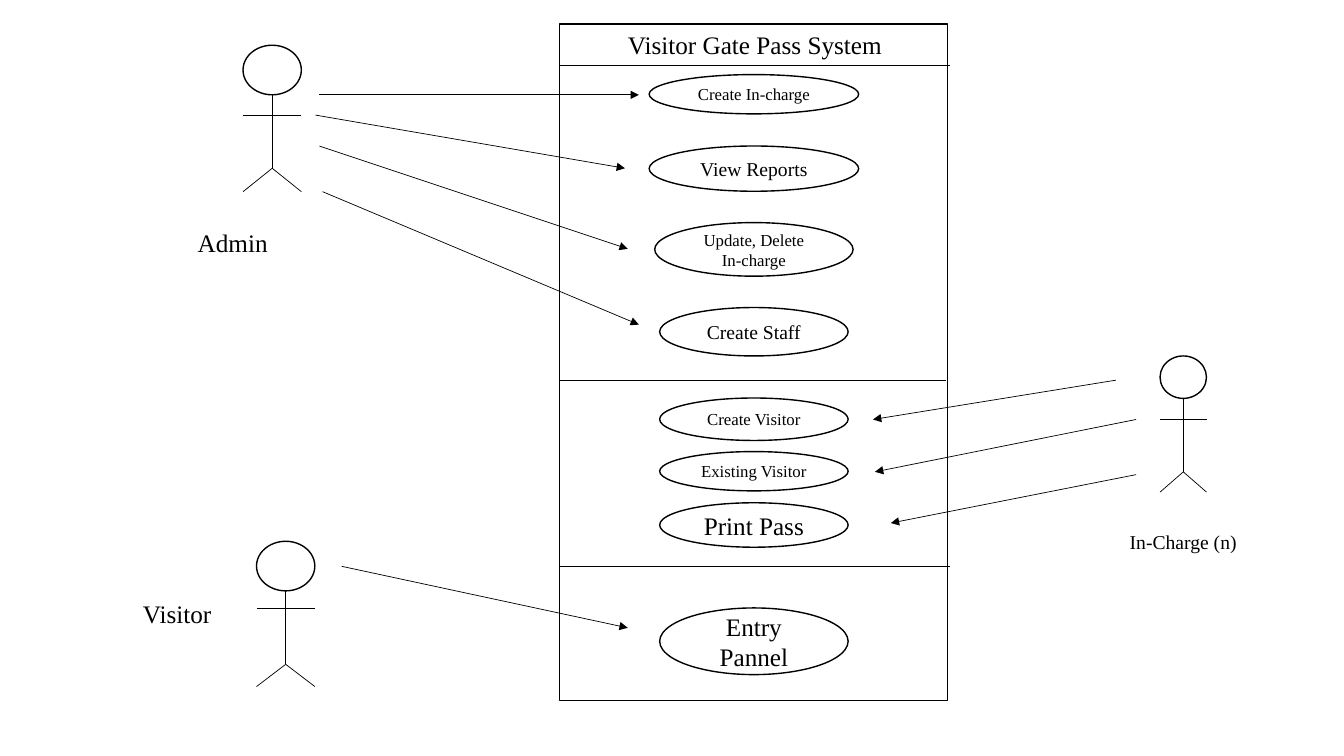
from dataclasses import dataclass

from lxml import etree
from pptx import Presentation
from pptx.dml.color import RGBColor
from pptx.enum.shapes import MSO_CONNECTOR, MSO_SHAPE
from pptx.enum.text import MSO_ANCHOR, MSO_AUTO_SIZE, PP_ALIGN
from pptx.oxml.ns import qn
from pptx.util import Cm, Pt

STRAIGHT = MSO_CONNECTOR.STRAIGHT
OVAL, RECTANGLE = MSO_SHAPE.OVAL, MSO_SHAPE.RECTANGLE
TOP, MIDDLE = MSO_ANCHOR.TOP, MSO_ANCHOR.MIDDLE
CENTER = PP_ALIGN.CENTER
NO_AUTOFIT = MSO_AUTO_SIZE.NONE
TITLE_ONLY = 5


@dataclass(frozen=True)
class Theme:
    font: str = "Times New Roman"
    ink: RGBColor = RGBColor(0, 0, 0)
    paper: RGBColor = RGBColor(255, 255, 255)
    large: int = 18
    medium: int = 14
    small: int = 12
    outline: float = 1
    hairline: float = 0.5


THEME = Theme()

TITLE = "Visitor Gate Pass System"
TITLE_BOX = (15.34, 0.61, 7.37, 1.02)
SYSTEM_BOX = (14.1, 0.61, 9.78, 17.04)
DIVIDERS = [(1.65, 23.93), (9.58, 23.85), (14.27, 23.93)]

USE_CASE_CENTER = 19
USE_CASES = [
    ("Create In-charge", 1.88, 5.28, 0.99, THEME.small),
    ("View Reports", 3.68, 5.28, 1.14, THEME.medium),
    ("Update, Delete In-charge", 5.61, 5, 1.35, THEME.small),
    ("Create Staff", 7.75, 4.75, 1.22, THEME.medium),
    ("Create Visitor", 10.03, 4.75, 1.07, THEME.small),
    ("Existing Visitor", 11.38, 4.75, 0.99, THEME.small),
    ("Print Pass", 12.67, 4.75, 1.12, THEME.large),
    ("Entry Pannel", 15.32, 4.75, 1.68, THEME.large),
]

BODY_LENGTH = 1.85
ACTORS = [
    dict(name="Admin", label_box=(3.58, 5.61, 4.57, 1.02), size=THEME.large,
         center=6.86, top=1.14, width=1.47, head=1.25, arms=2.9, feet=4.83,
         arrows=[(8.05, 2.39, 16.1, 2.39), (7.95, 2.9, 15.75, 4.24),
                 (8.05, 3.68, 15.82, 6.27), (8.13, 4.83, 16.1, 8.18)]),
    dict(name="In-Charge (n)", label_box=(28.12, 13.23, 3.4, 0.86), size=THEME.medium,
         center=29.82, top=8.97, width=1.17, head=1.07, arms=10.57, feet=12.4,
         arrows=[(28.12, 9.58, 22, 10.57), (28.63, 10.57, 22.05, 11.89),
                 (28.63, 11.96, 22.45, 13.18)]),
    dict(name="Visitor", label_box=(3.07, 14.96, 2.79, 1.02), size=THEME.large,
         center=7.2, top=13.64, width=1.47, head=1.25, arms=15.34, feet=17.3,
         arrows=[(8.61, 14.27, 15.82, 15.82)]),
]


def write_text(shape, text, size=THEME.large, anchor=TOP):
    frame = shape.text_frame
    frame.word_wrap = True
    frame.auto_size = NO_AUTOFIT
    frame.vertical_anchor = anchor
    paragraph = frame.paragraphs[0]
    paragraph.alignment = CENTER
    run = paragraph.add_run()
    run.text = text
    run.font.name = THEME.font
    run.font.size = Pt(size)
    run.font.color.rgb = THEME.ink


def add_outline(slide, kind, box):
    shape = slide.shapes.add_shape(kind, *map(Cm, box))
    shape.shadow.inherit = False
    shape.fill.solid()
    shape.fill.fore_color.rgb = THEME.paper
    shape.line.color.rgb = THEME.ink
    shape.line.width = Pt(THEME.outline)
    return shape


def add_line(slide, points, arrow=False):
    connector = slide.shapes.add_connector(STRAIGHT, *map(Cm, points))
    connector.line.color.rgb = THEME.ink
    connector.line.width = Pt(THEME.hairline)
    properties = connector.element.spPr
    if arrow:
        etree.SubElement(properties.find(qn("a:ln")), qn("a:tailEnd"), type="triangle")
    etree.SubElement(properties, qn("a:effectLst"))


def add_system(slide):
    add_outline(slide, RECTANGLE, SYSTEM_BOX)
    for height, right in DIVIDERS:
        add_line(slide, (SYSTEM_BOX[0], height, right, height))
    title = slide.shapes.title
    title.left, title.top, title.width, title.height = map(Cm, TITLE_BOX)
    write_text(title, TITLE)
    title.element.getparent().append(title.element)
    for text, top, width, height, size in USE_CASES:
        box = (USE_CASE_CENTER - width / 2, top, width, height)
        write_text(add_outline(slide, OVAL, box), text, size=size, anchor=MIDDLE)


def add_actor(slide, actor):
    center, width, arms = actor["center"], actor["width"], actor["arms"]
    left, right = center - width / 2, center + width / 2
    neck = actor["top"] + actor["head"]
    hip = neck + BODY_LENGTH
    add_outline(slide, OVAL, (left, actor["top"], width, actor["head"]))
    add_line(slide, (center, neck, center, hip))
    for side in (right, left):
        add_line(slide, (center, arms, side, arms))
        add_line(slide, (center, hip, side, actor["feet"]))
    for points in actor["arrows"]:
        add_line(slide, points, arrow=True)
    label = slide.shapes.add_textbox(*map(Cm, actor["label_box"]))
    write_text(label, actor["name"], size=actor["size"])


def main():
    presentation = Presentation()
    presentation.slide_width, presentation.slide_height = Cm(33.87), Cm(19.05)
    slide = presentation.slides.add_slide(presentation.slide_layouts[TITLE_ONLY])
    add_system(slide)
    for actor in ACTORS:
        add_actor(slide, actor)
    presentation.save("out.pptx")


if __name__ == "__main__":
    main()
